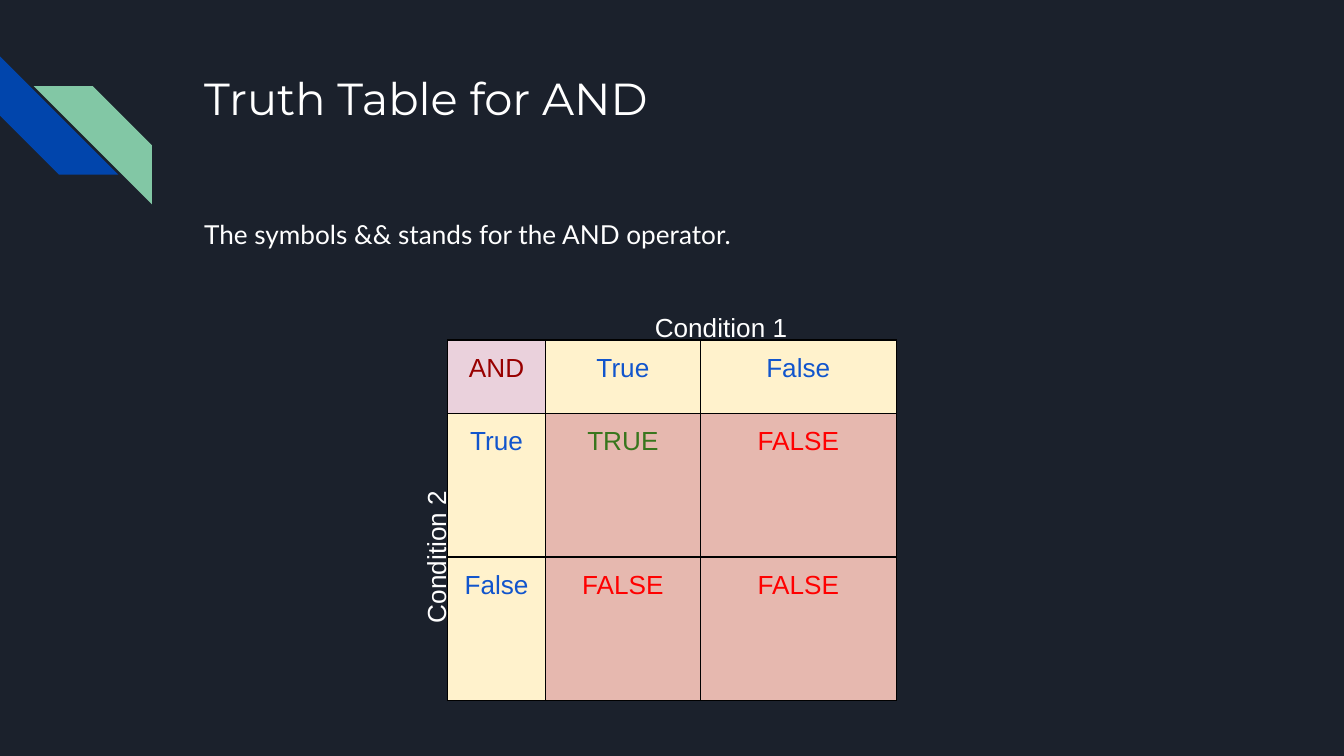
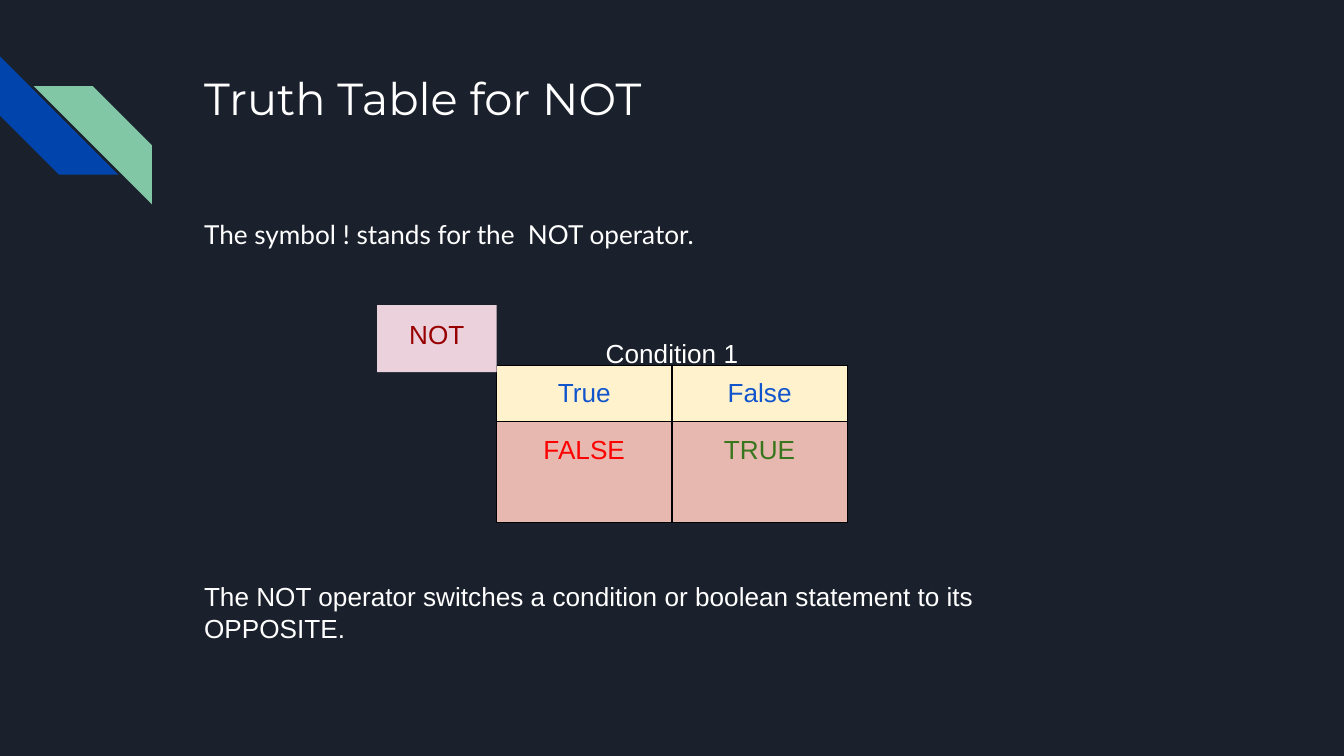
from lxml.etree import SubElement
from pptx import Presentation
from pptx.dml.color import RGBColor
from pptx.enum.shapes import MSO_SHAPE as Preset
from pptx.enum.text import MSO_ANCHOR as Anchor, MSO_AUTO_SIZE as AutoSize, PP_ALIGN as Align
from pptx.oxml.ns import qn
from pptx.util import Inches, Pt

CELL = 0.1  # inches; the slide is 100 columns by 56.25 rows
COLUMNS, ROWS = 100, 56.25
MARGIN = 1
LEFT = 14.2
LABEL_WIDTH, LABEL_HEIGHT = 26.1, 3.1

NAVY, BLUE, GREEN = "1B212C", "0145AC", "82C7A5"
WHITE, BLACK = "FFFFFF", "000000"
PINK, CREAM, ROSE = "EAD1DC", "FFF2CC", "E6B8AF"
OPERATOR_INK = "980000"
INPUT_INK = "1155CC"
RESULT_INKS = {"TRUE": "38761D", "FALSE": "FF0000"}


def rgb(code):
    return RGBColor.from_string(code)


def grid(*cells):
    """Turn columns or rows of the grid into lengths."""
    return [Inches(round(count * CELL, 3)) for count in cells]


def cell_colours(word):
    """Give the fill and ink of a truth table cell from its word."""
    if word in RESULT_INKS:
        return ROSE, RESULT_INKS[word]
    if word in ("True", "False"):
        return CREAM, INPUT_INK
    return PINK, OPERATOR_INK


class TruthDeck:
    def __init__(self):
        self.deck = Presentation()
        self.deck.slide_width, self.deck.slide_height = grid(COLUMNS, ROWS)
        self.page = None

    def add_page(self, title, statement):
        self.page = self.deck.slides.add_slide(self.deck.slide_layouts[6])
        background = self.page.background.fill
        background.solid()
        background.fore_color.rgb = rgb(NAVY)
        self.stripe(0, 4.2, BLUE).rotation = 270
        green = self.stripe(2.5, 6.4, GREEN)
        green._element.spPr.find(qn("a:xfrm")).set("flipH", "1")
        self.text(title, LEFT, 4.3, 77, 10, size=24, font="Montserrat")
        body = self.text(statement, LEFT, 14.9, 77, 4.2, font="Lato")
        para = body.text_frame.paragraphs[0]
        para.line_spacing = 1.15
        para.space_after = Pt(16)

    def shape(self, preset, left, top, width, height, fill):
        shape = self.page.shapes.add_shape(preset, *grid(left, top, width, height))
        shape.shadow.inherit = False
        shape.fill.solid()
        shape.fill.fore_color.rgb = rgb(fill)
        shape.line.fill.background()
        return shape

    def stripe(self, left, top, fill):
        stripe = self.shape(Preset.DIAGONAL_STRIPE, left, top, 8.8, 8.8, fill)
        stripe.adjustments[0] = 0.5
        return stripe

    def set_words(self, frame, words, ink=WHITE, size=14, font="Arial", align=Align.LEFT):
        frame.text = words
        para = frame.paragraphs[0]
        para.alignment = align
        for span in para.runs:
            span.font.size = Pt(size)
            span.font.name = font
            span.font.color.rgb = rgb(ink)

    def set_margins(self, holder):
        """Pad a text frame or a table cell alike on all sides."""
        holder.margin_left, holder.margin_top, holder.margin_right, holder.margin_bottom = grid(*[MARGIN] * 4)
        holder.vertical_anchor = Anchor.TOP

    def fill_frame(self, frame, words, **style):
        frame.word_wrap = True
        frame.auto_size = AutoSize.NONE
        self.set_margins(frame)
        self.set_words(frame, words, **style)

    def text(self, words, left, top, width, height, **style):
        box = self.page.shapes.add_textbox(*grid(left, top, width, height))
        self.fill_frame(box.text_frame, words, **style)
        return box

    def label(self, words, left, top, width=LABEL_WIDTH):
        return self.text(words, left, top, width, LABEL_HEIGHT, align=Align.CENTER)

    def badge(self, word, left, top, width, height):
        fill, ink = cell_colours(word)
        badge = self.shape(Preset.RECTANGLE, left, top, width, height, fill)
        self.fill_frame(badge.text_frame, word, ink=ink, align=Align.CENTER)

    def border(self, cell):
        properties = cell._tc.get_or_add_tcPr()
        for position, side in enumerate(("lnL", "lnR", "lnT", "lnB")):
            line = SubElement(properties, qn(f"a:{side}"), w=str(Pt(0.75)))
            properties.insert(position, line)
            solid = SubElement(line, qn("a:solidFill"))
            SubElement(solid, qn("a:srgbClr"), val=BLACK)

    def table(self, words, left, top, widths, heights):
        frame = self.page.shapes.add_table(
            len(heights), len(widths), *grid(left, top, sum(widths), sum(heights)))
        table = frame.table
        for column, width in zip(table.columns, grid(*widths)):
            column.width = width
        for row, height, row_words in zip(table.rows, grid(*heights), words):
            row.height = height
            for cell, word in zip(row.cells, row_words):
                fill, ink = cell_colours(word)
                cell.fill.solid()
                cell.fill.fore_color.rgb = rgb(fill)
                self.set_margins(cell)
                self.set_words(cell.text_frame, word, ink=ink, align=Align.CENTER)
                self.border(cell)


def add_and_page(deck):
    left, top = 33.3, 25.3
    widths = [7.3, 11.5, 14.6]
    deck.add_page("Truth Table for AND", "The symbols && stands for the AND operator.")
    deck.table([["AND", "True", "False"],
                ["True", "TRUE", "FALSE"],
                ["False", "FALSE", "FALSE"]],
               left, top, widths, [5.45, 10.7, 10.7])
    deck.label("Condition 1", left + widths[0], top - LABEL_HEIGHT)
    deck.label("Condition 2", 21.1, 39.9, 21.4).rotation = 270


def add_not_page(deck):
    left, top = 36.95, 27.2
    badge_width = 8.9
    deck.add_page("Truth Table for NOT", "The symbol ! stands for the  NOT operator.")
    deck.table([["True", "False"], ["FALSE", "TRUE"]],
               left, top, [LABEL_WIDTH / 2] * 2, [3.75, 7.5])
    deck.label("Condition 1", left, top - LABEL_HEIGHT)
    deck.badge("NOT", left - badge_width, 22.7, badge_width, 5)
    deck.text("The NOT operator switches a condition or boolean statement to its OPPOSITE.",
              LEFT, 42.2, 61.6, 6.6)


def main():
    truth = TruthDeck()
    add_and_page(truth)
    add_not_page(truth)
    truth.deck.save("out.pptx")


if __name__ == "__main__":
    main()
